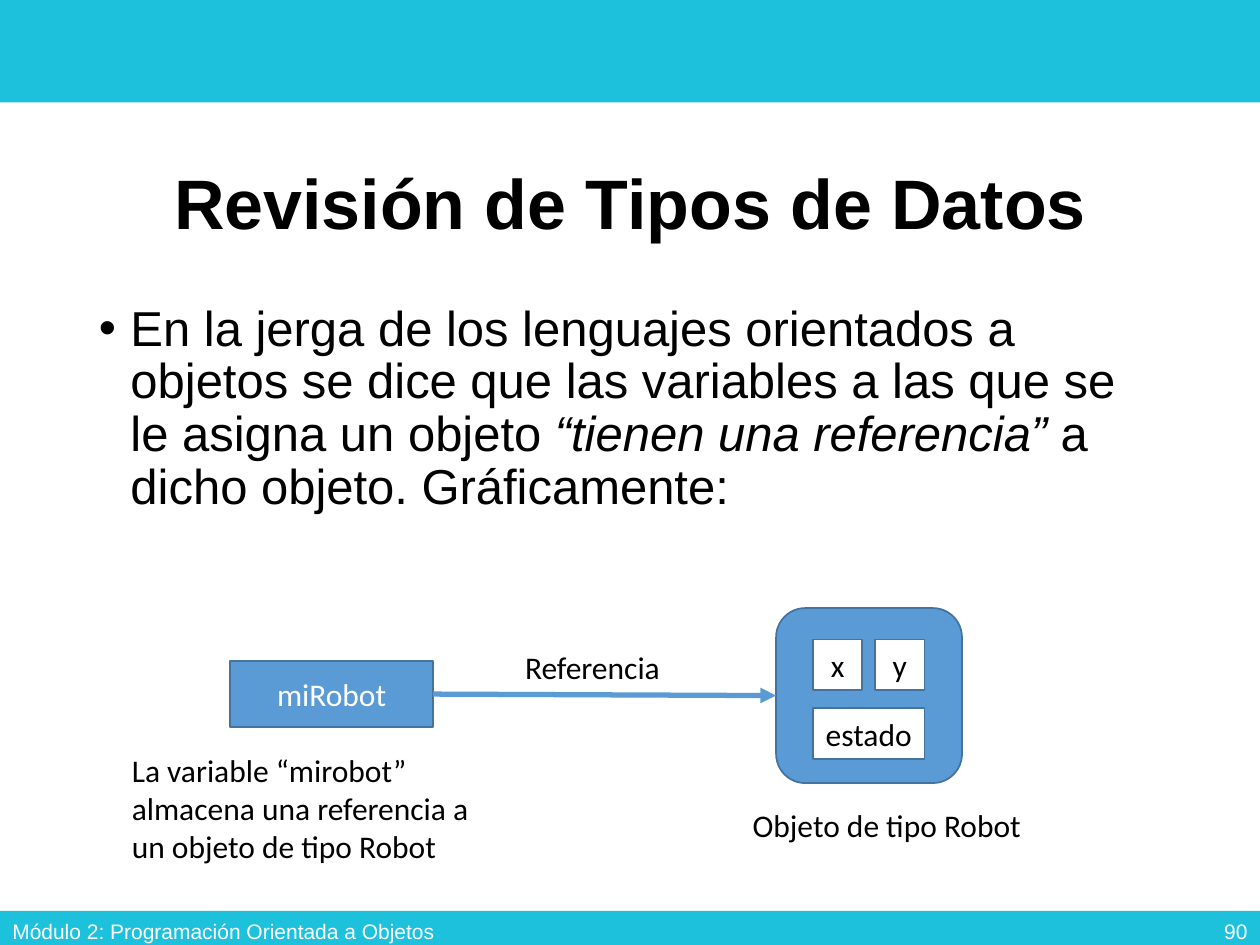
from dataclasses import dataclass

from lxml import etree
from pptx import Presentation
from pptx.dml.color import RGBColor
from pptx.enum.shapes import MSO_CONNECTOR, MSO_SHAPE
from pptx.enum.text import MSO_ANCHOR, MSO_AUTO_SIZE, PP_ALIGN
from pptx.oxml.ns import qn
from pptx.util import Pt

RECT, ROUND = MSO_SHAPE.RECTANGLE, MSO_SHAPE.ROUNDED_RECTANGLE
LEFT, MID, RIGHT = PP_ALIGN.LEFT, PP_ALIGN.CENTER, PP_ALIGN.RIGHT
TOP, CENTER = MSO_ANCHOR.TOP, MSO_ANCHOR.MIDDLE
GROW, FIXED = MSO_AUTO_SIZE.SHAPE_TO_FIT_TEXT, MSO_AUTO_SIZE.NONE
STRAIGHT = MSO_CONNECTOR.STRAIGHT

HEX = {
    "band": "1DC1DC",
    "blue": "5B9BD5",
    "edge": "43739E",
    "white": "FFFFFF",
    "black": "000000",
}
WIDTH, HEIGHT = 720, 540


@dataclass
class Box:
    """A filled shape, measured in points."""
    x: float
    y: float
    w: float
    h: float
    fill: str
    edge: str = ""
    text: str = ""
    ink: str = "black"
    kind: int = RECT


@dataclass
class Label:
    """A caption that grows with its text, measured in points."""
    x: float
    y: float
    w: float
    h: float
    text: str


def color(name: str) -> RGBColor:
    return RGBColor.from_string(HEX[name])


def write(shape, *runs, size=18, font="Calibri", ink="black", bold=False,
          align=LEFT, anchor=TOP, fit=FIXED, lead=None):
    """Fill a shape with runs; a (text, True) pair is italic."""
    frame = shape.text_frame
    frame.word_wrap = True
    frame.auto_size = fit
    frame.vertical_anchor = anchor
    para = frame.paragraphs[0]
    para.alignment = align
    if lead:
        para.line_spacing = lead
    for text, slant in runs:
        run = para.add_run()
        run.text = text
        run.font.size = Pt(size)
        run.font.name = font
        run.font.bold = bold
        run.font.italic = slant
        run.font.color.rgb = color(ink)
    return para


def add_text(slide, x: float, y: float, w: float, h: float, *runs, **form):
    shape = slide.shapes.add_textbox(Pt(x), Pt(y), Pt(w), Pt(h))
    return write(shape, *runs, **form)


def add_box(slide, box: Box):
    shape = slide.shapes.add_shape(
        box.kind, Pt(box.x), Pt(box.y), Pt(box.w), Pt(box.h))
    shape.shadow.inherit = False
    shape.fill.solid()
    shape.fill.fore_color.rgb = color(box.fill)
    if box.edge:
        shape.line.color.rgb = color(box.edge)
        shape.line.width = Pt(1)
    else:
        shape.line.fill.background()
    if box.text:
        frame = shape.text_frame
        frame.margin_left = frame.margin_right = 0
        write(shape, (box.text, False), ink=box.ink, align=MID, anchor=CENTER)
    return shape


def add_arrow(slide, start, end):
    """Join the right side of one shape to the left side of another."""
    line = slide.shapes.add_connector(STRAIGHT, 0, 0, 0, 0)
    line.begin_connect(start, 3)
    line.end_connect(end, 1)
    line.line.color.rgb = color("blue")
    line.line.width = Pt(3)
    props = line.line._get_or_add_ln()
    etree.SubElement(props, qn("a:tailEnd"), type="triangle")
    etree.SubElement(props.getparent(), qn("a:effectLst"))


def add_bullet(para, indent: float):
    props = para._p.get_or_add_pPr()
    props.set("marL", str(Pt(indent)))
    props.set("indent", str(-Pt(indent)))
    etree.SubElement(props, qn("a:buFont"), typeface="Arial")
    etree.SubElement(props, qn("a:buChar"), char="•")


def main():
    deck = Presentation()
    deck.slide_width, deck.slide_height = Pt(WIDTH), Pt(HEIGHT)
    slide = deck.slides.add_slide(deck.slide_layouts[6])

    # Top and bottom bands
    for y, h in ((0, 58.5), (520.5, 22)):
        add_box(slide, Box(0, y, WIDTH, h, "band"))

    # Title and body
    add_text(slide, 49.5, 70.5, 621, 95.5, ("Revisión de Tipos de Datos", False),
             size=40, font="Arial", bold=True, align=MID, anchor=CENTER, lead=0.9)
    body = add_text(
        slide, 49.5, 170, 621, 342.5,
        ("En la jerga de los lenguajes orientados a objetos se dice que las "
         "variables a las que se le asigna un objeto ", False),
        ("“tienen una referencia”", True),
        (" a dicho objeto. Gráficamente:", False),
        size=28, font="Arial", lead=0.9)
    body.space_before = Pt(10)
    add_bullet(body, 18)

    # Footer and page number
    foot = dict(size=12, font="Arial", ink="white", anchor=CENTER)
    add_text(slide, 0, 517.75, 263.5, 28.75,
             ("Módulo 2: Programación Orientada a Objetos", False), **foot)
    add_text(slide, 558, 517.75, 162, 28.75, ("90", False), align=RIGHT, **foot)

    # Variable, object and the reference between them
    name = add_box(slide, Box(131.5, 377.75, 116, 37.75, "blue", "edge",
                              "miRobot", "white"))
    robot = add_box(slide, Box(443.5, 347.5, 106.25, 100, "blue", "edge",
                               kind=ROUND))
    add_arrow(slide, name, robot)

    # Fields of the object
    for x, y, w, text in ((464.5, 365.5, 28.25, "x"),
                          (500, 365.5, 28.25, "y"),
                          (464.5, 404.75, 63.75, "estado")):
        add_box(slide, Box(x, y, w, 29, "white", "edge", text))

    # Captions
    for tag in (
        Label(293, 366.5, 130, 29, "Referencia"),
        Label(423, 456.75, 169.5, 29, "Objeto de tipo Robot"),
        Label(68.25, 425.75, 213, 72.75,
              "La variable “mirobot” almacena una referencia a un objeto "
              "de tipo Robot"),
    ):
        add_text(slide, tag.x, tag.y, tag.w, tag.h, (tag.text, False), fit=GROW)

    deck.save("out.pptx")


if __name__ == "__main__":
    main()
